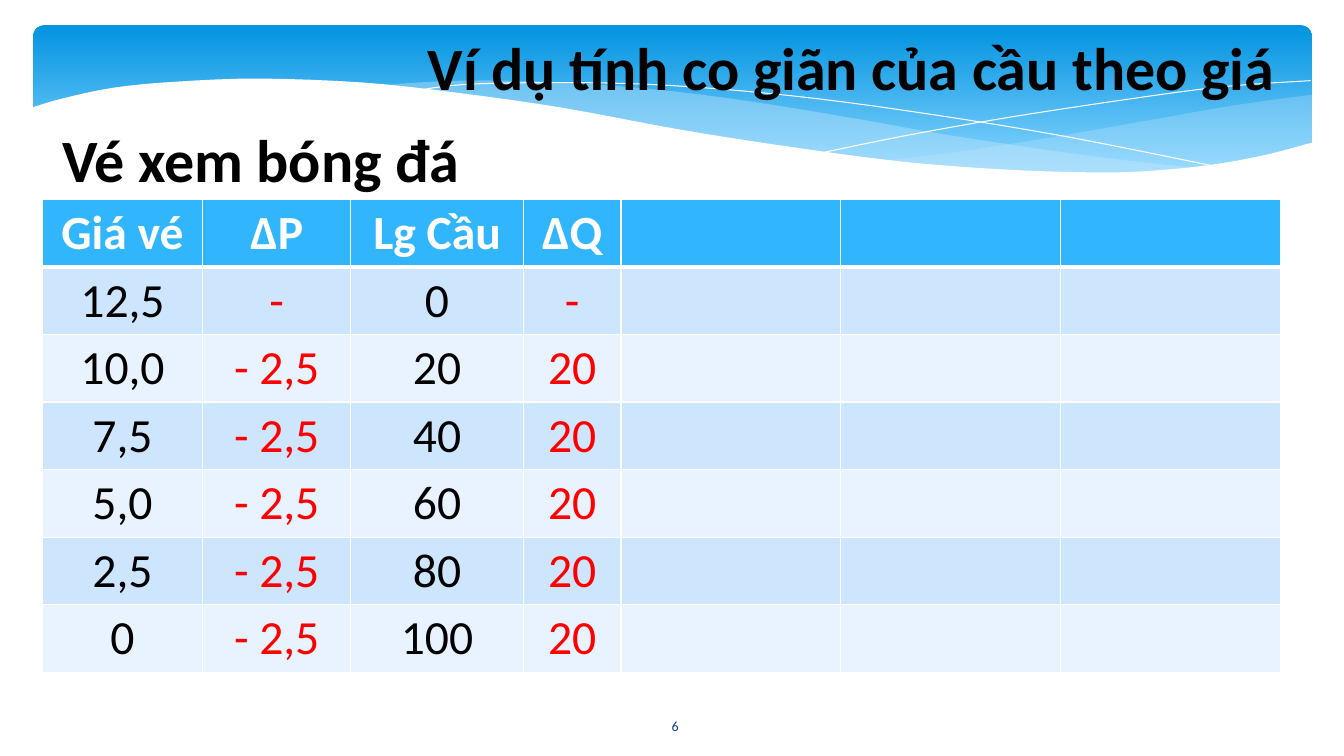
"""Slide on the price elasticity of demand for football tickets."""
from dataclasses import dataclass

from pptx import Presentation
from pptx.dml.color import RGBColor
from pptx.enum.shapes import MSO_SHAPE
from pptx.enum.text import MSO_ANCHOR, PP_ALIGN
from pptx.oxml import parse_xml
from pptx.oxml.ns import nsdecls
from pptx.util import Inches, Pt

ROUND = MSO_SHAPE.ROUNDED_RECTANGLE
TOP, MIDDLE = MSO_ANCHOR.TOP, MSO_ANCHOR.MIDDLE
CENTER = PP_ALIGN.CENTER
COLS, ROWS = 13.33, 7.5


@dataclass(frozen=True)
class Theme:
    """Colours, type sizes and font of the slide."""
    font: str = "Calibri"
    white: str = "FFFFFF"
    black: str = "000000"
    red: str = "FF0000"
    navy: str = "073E87"
    deep: str = "0293E0"
    sky: str = "83D3FE"
    mist: str = "C6E7FC"
    head: str = "31B6FD"
    bands: tuple = ("E8F3FF", "CEE5FE")
    title: float = 42.9
    body: float = 34
    small: float = 10


THEME = Theme()

WAVE = [(13.03, 1.41), (12.54, 1.54), (11.98, 1.64), (11.34, 1.7),
        (10.78, 1.71), (9.92, 1.68), (8.91, 1.6), (7.72, 1.44),
        (6.71, 1.28), (5.58, 1.07), (4.53, 0.92), (3.61, 0.82),
        (2.58, 0.78), (1.76, 0.81), (1.13, 0.87), (0.61, 0.98), (0.31, 1.07)]
BASE = [(0.31, 2.24), (13.03, 2.24)]
EAST = [(13.01, 0.94), (12.27, 1.04), (11.47, 1.18), (10.38, 1.37),
        (9.41, 1.52), (8.82, 1.6), (9.58, 1.67), (10.41, 1.72),
        (11.13, 1.72), (11.86, 1.66), (12.47, 1.56), (13.01, 1.42)]
MID = [(11.9, 1.67), (10.76, 1.54), (9.41, 1.34), (8.39, 1.16),
       (7.4, 1), (6.52, 0.89), (5.6, 0.82), (4.59, 0.8), (3.82, 0.86),
       (4.83, 0.97), (5.99, 1.16), (7.06, 1.35), (8.02, 1.5), (9.07, 1.63),
       (9.98, 1.7), (10.9, 1.73), (11.43, 1.71), (11.9, 1.67)]
FALL = [(4.12, 0.9), (4.58, 0.84), (5.35, 0.82), (6.25, 0.83), (7.1, 0.88),
        (8.11, 0.98), (9.27, 1.14), (10.6, 1.36), (12.1, 1.66)]
RISE = [(8.18, 1.51), (8.96, 1.35), (9.97, 1.17), (11.15, 0.99),
        (12.13, 0.86), (13, 0.8)]

WIDTHS = (1.59, 1.47, 1.71, 0.97, 2.18, 2.18, 2.18)
HEADS = ("Giá vé", "∆P", "Lg Cầu", "∆Q")
DATA = [("12,5", "-", "0", "-")] + [
    (price, "- 2,5", str(20 * step), "20")
    for step, price in enumerate(("10,0", "7,5", "5,0", "2,5", "0"), 1)]


def rgb(code):
    """Turn a hex code into a colour."""
    return RGBColor.from_string(code)


def place(col, row):
    """Turn a grid point, one inch to a cell, into slide units."""
    return Inches(col), Inches(row)


def bend(pts, steps=4):
    """Smooth a list of points with a Catmull-Rom curve."""
    ends = [pts[0], *pts, pts[-1]]
    out = []
    for a, b, c, d in zip(ends, ends[1:], ends[2:], ends[3:]):
        for step in range(steps):
            t = step / steps
            out.append(tuple(
                q + t * (r - p + t * (2 * p - 5 * q + 4 * r - s
                                      + t * (3 * q - p - 3 * r + s))) / 2
                for p, q, r, s in zip(a, b, c, d)))
    return out + [pts[-1]]


def curve(slide, pts, fill=None, alpha=100):
    """Draw a filled shape, or a white hairline when no fill is given."""
    spots = [place(*pt) for pt in pts]
    build = slide.shapes.build_freeform(*spots[0])
    build.add_line_segments(spots[1:], close=fill is not None)
    shape = build.convert_to_shape()
    shape.shadow.inherit = False
    if fill is None:
        shape.fill.background()
        shape.line.color.rgb = rgb(THEME.white)
        shape.line.width = Pt(0)
        return
    shape.fill.solid()
    shape.fill.fore_color.rgb = rgb(fill)
    shape.line.fill.background()
    if alpha < 100:
        tint = shape.element.spPr.find(".//{*}solidFill/{*}srgbClr")
        tint.append(parse_xml(
            f'<a:alpha {nsdecls("a")} val="{alpha * 1000}"/>'))


def banner(slide):
    """Draw the blue band with its waves."""
    band = slide.shapes.add_shape(
        ROUND, *place(0.33, 0.25), *place(12.68, 1.56))
    band.adjustments[0] = 0.07
    band.shadow.inherit = False
    band.line.fill.background()
    band.fill.gradient()
    band.fill.gradient_angle = 270
    stops = band.fill.gradient_stops
    for stop, tone, spot in zip(stops, (THEME.deep, THEME.sky), (0, 0.9)):
        stop.color.rgb = rgb(tone)
        stop.position = spot
    curve(slide, bend(EAST), THEME.mist, 29)
    curve(slide, bend(MID), THEME.mist, 40)
    curve(slide, bend(FALL))
    curve(slide, bend(RISE))
    curve(slide, bend(WAVE) + BASE, THEME.white)


def write(frame, text, size, tone, bold=False):
    """Put one centred line of text in a frame."""
    frame.text = text
    para = frame.paragraphs[0]
    para.alignment = CENTER
    for run in para.runs:
        font = run.font
        font.name, font.size, font.bold = THEME.font, Pt(size), bold
        font.color.rgb = rgb(tone)


def label(slide, spot, size, text, points, tone, bold=False, anchor=TOP):
    """Add a text box with one line."""
    box = slide.shapes.add_textbox(*place(*spot), *place(*size))
    box.text_frame.word_wrap = True
    box.text_frame.vertical_anchor = anchor
    write(box.text_frame, text, points, tone, bold)


def heading(slide, text):
    """Move and format the title above the banner."""
    title = slide.shapes.title
    slide.shapes.element.append(title.element)
    title.left, title.top = place(3.25, 0.25)
    title.width, title.height = place(10.38, 1)
    title.text_frame.vertical_anchor = TOP
    write(title.text_frame, text, THEME.title, THEME.black, True)


def edge(cell, side, width):
    """Give one side of a cell a white line."""
    cell._tc.get_or_add_tcPr().append(parse_xml(
        f'<a:ln{side} {nsdecls("a")} w="{Pt(width)}"><a:solidFill>'
        f'<a:srgbClr val="{THEME.white}"/></a:solidFill></a:ln{side}>'))


def grid(slide):
    """Add the table of prices and demand."""
    lines = [HEADS, *DATA]
    table = slide.shapes.add_table(
        len(lines), len(WIDTHS), *place(0.42, 1.98),
        *place(sum(WIDTHS), 0.67 * len(lines))).table
    for col, width in zip(table.columns, WIDTHS):
        col.width = Inches(width)
    for i, line in enumerate(lines):
        for j in range(len(WIDTHS)):
            cell = table.cell(i, j)
            for side in ("L", "R"):
                edge(cell, side, 1)
            if i == 0:
                edge(cell, "T", 1)
            edge(cell, "B", 1 if i else 3)
            cell.fill.solid()
            cell.fill.fore_color.rgb = rgb(
                THEME.bands[i % 2] if i else THEME.head)
            if j < len(line):
                tone = THEME.red if j % 2 else THEME.black
                write(cell.text_frame, line[j], THEME.body,
                      tone if i else THEME.white, i == 0)


def main():
    """Build and save the slide."""
    deck = Presentation()
    deck.slide_width, deck.slide_height = place(COLS, ROWS)
    slide = deck.slides.add_slide(deck.slide_layouts[5])
    banner(slide)
    label(slide, (5.85, 7), (1.69, 0.4), "6", THEME.small, THEME.navy,
          anchor=MIDDLE)
    heading(slide, "Ví dụ tính co giãn của cầu theo giá")
    label(slide, (0, 1.17), (5.17, 1), "Vé xem bóng đá", THEME.title,
          THEME.black, True)
    grid(slide)
    deck.save("out.pptx")


if __name__ == "__main__":
    main()
